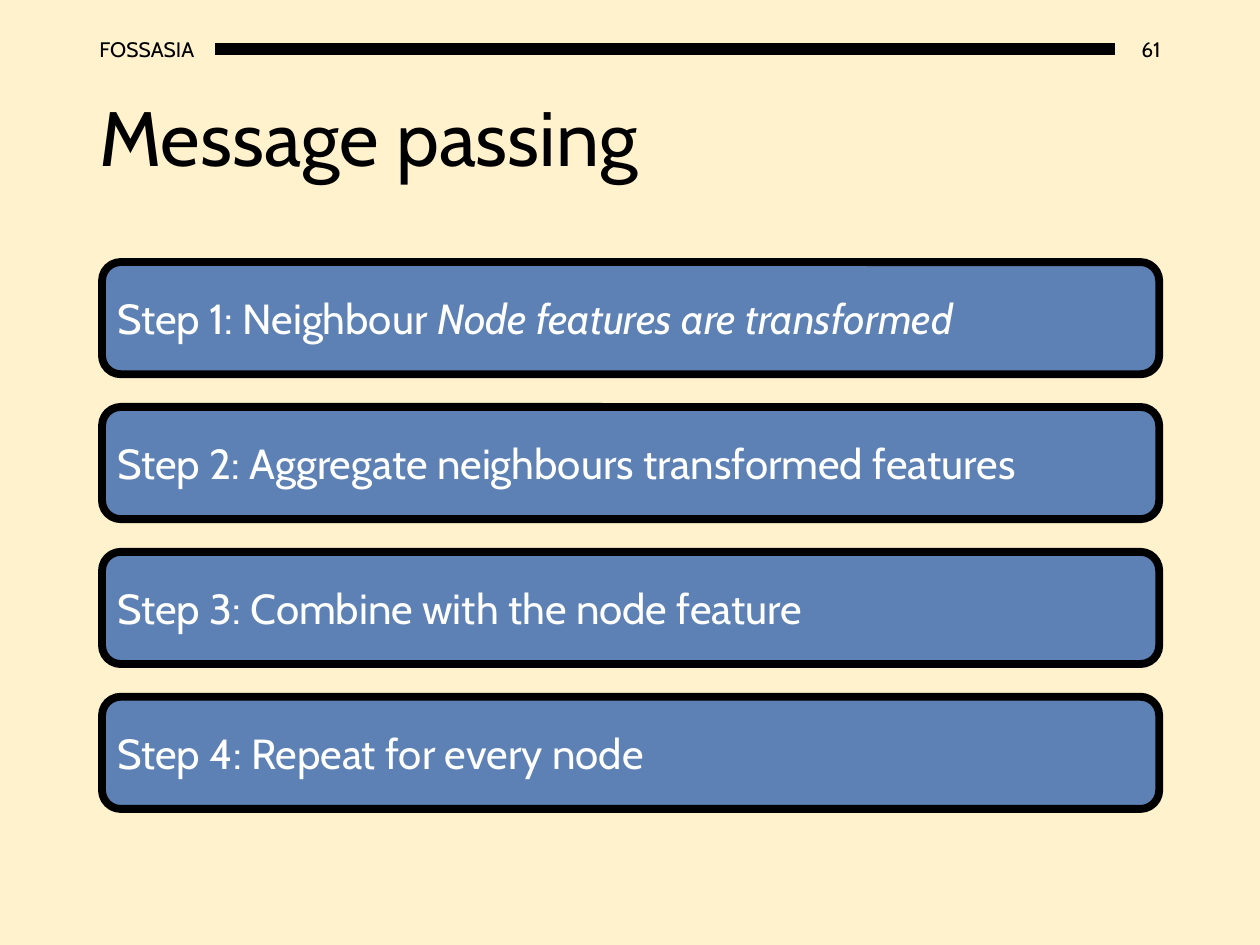
"""Builds the slide on the four steps of message passing."""
from lxml import etree
from pptx import Presentation, util as u
from pptx.dml.color import RGBColor
from pptx.enum import shapes, text
from pptx.oxml import ns

COLS, ROWS = 100, 75
HUES = {"cream": "FFF2CC", "ink": "000000", "blue": "5D81B5", "white": "FFFFFF"}
STEPS = [
    ["Step 1: Neighbour ", "Node features are transformed"],
    ["Step 2: Aggregate neighbours transformed features"],
    ["Step 3: Combine with the node feature"],
    ["Step 4: Repeat for every node"],
]


class Deck:
    def __init__(self):
        self.prs = Presentation()
        self.prs.slide_width, self.prs.slide_height = u.Inches(10), u.Inches(7.5)
        self.slide = self.prs.slides.add_slide(self.prs.slide_layouts[6])
        self.paint(self.slide.background.fill, "cream")

    def hue(self, name):
        return RGBColor.from_string(HUES[name])

    def paint(self, fill, name):
        fill.solid()
        fill.fore_color.rgb = self.hue(name)

    def grid(self, *cells):
        sides = (self.prs.slide_width / COLS, self.prs.slide_height / ROWS)
        return [round(cell * sides[i % 2]) for i, cell in enumerate(cells)]

    def letter(self, shape, runs, size, hue="ink", side="LEFT", space=1.0, inset=0.1):
        frame = shape.text_frame
        form = {"word_wrap": True, "vertical_anchor": text.MSO_ANCHOR.MIDDLE,
                "margin_left": u.Inches(inset)}
        for key, val in form.items():
            setattr(frame, key, val)
        para = frame.paragraphs[0]
        para.alignment = text.PP_ALIGN[side]
        para.line_spacing = space
        for i, words in enumerate(runs):
            run = para.add_run()
            run.text = words
            form = {"name": "Cabin", "size": u.Pt(size), "italic": i > 0}
            for key, val in form.items():
                setattr(run.font, key, val)
            run.font.color.rgb = self.hue(hue)

    def label(self, cells, words, size, **form):
        box = self.slide.shapes.add_textbox(*self.grid(*cells))
        self.letter(box, [words], size, **form)

    def rule(self, ends, width):
        line = self.slide.shapes.add_connector(
            shapes.MSO_CONNECTOR.STRAIGHT, *self.grid(*ends))
        line.line.width = u.Pt(width)
        line.line.color.rgb = self.hue("ink")
        etree.SubElement(line._element.spPr, ns.qn("a:effectLst"))

    def card(self, cells, runs):
        box = self.slide.shapes.add_shape(
            shapes.MSO_SHAPE.ROUNDED_RECTANGLE, *self.grid(*cells))
        box.shadow.inherit = False
        self.paint(box.fill, "blue")
        box.line.width = u.Pt(4.5)
        box.line.color.rgb = self.hue("ink")
        self.letter(box, runs, 24, hue="white", inset=0.08)


def main():
    deck = Deck()
    deck.label((88.5, 1.9, 4.6, 4), "61", 12, side="RIGHT")
    deck.label((6.9, 1.9, 10.2, 4), "FOSSASIA", 12)
    deck.rule((17.1, 3.9, 88.5, 3.9), 7)
    deck.label((6.9, 4, 86.2, 14.5), "Message passing", 44, space=0.9)
    for i, runs in enumerate(STEPS):
        deck.card((8.1, 20.8 + 11.5 * i, 83.9, 8.9), runs)
    deck.prs.save("out.pptx")


if __name__ == "__main__":
    main()
